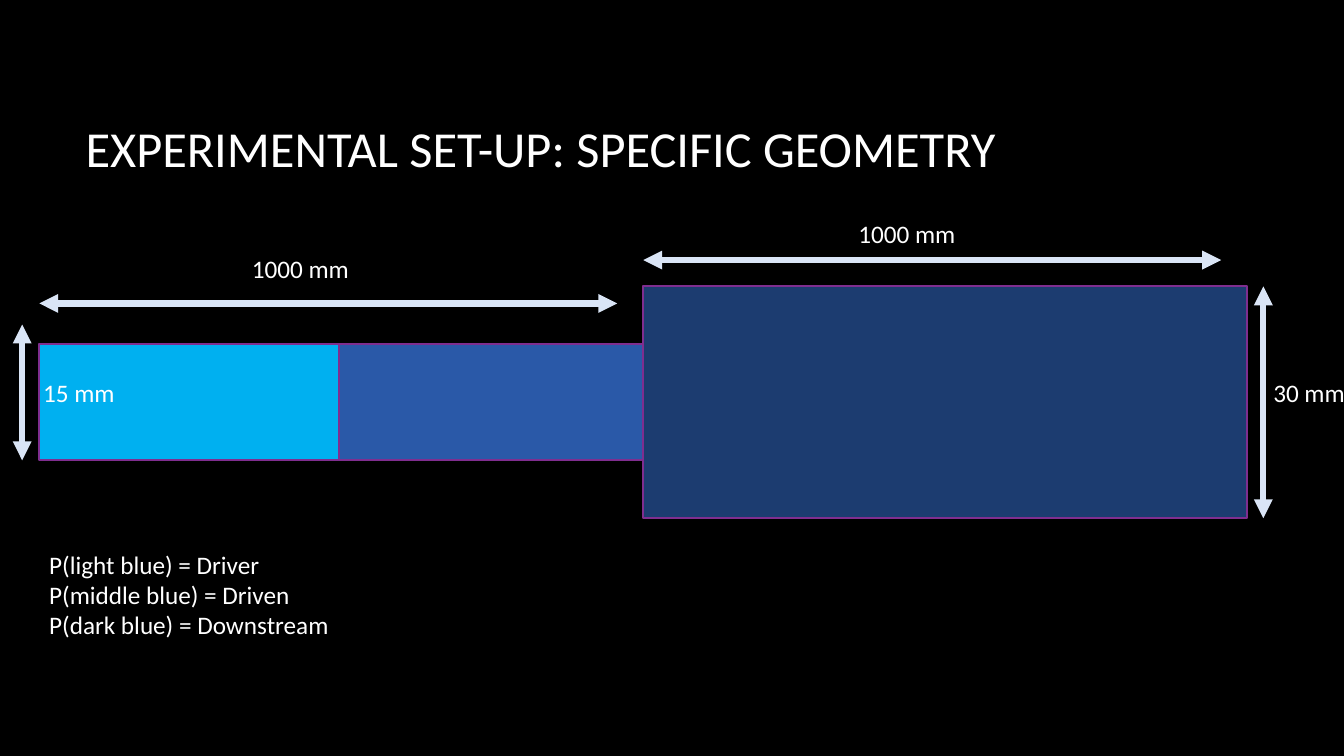
from lxml.etree import SubElement
from pptx import Presentation
from pptx.dml.color import RGBColor
from pptx.enum.shapes import MSO_CONNECTOR as Connector, MSO_SHAPE as Preset
from pptx.enum.text import MSO_ANCHOR as Anchor, MSO_AUTO_SIZE as AutoSize
from pptx.oxml.ns import qn
from pptx.util import Inches, Pt

COLUMNS, ROWS = 80, 45


def color(hex_string):
    """Turn a hex string into a colour."""
    return RGBColor.from_string(hex_string)


class GeometrySlide:
    """Style and current slide; lengths are grid columns and rows."""

    font = "Calibri"
    text_color = "FFFFFF"
    outline = "7F2E8F"
    arrow_color = "DAE5F6"

    def __init__(self, presentation, background):
        """Add a blank slide with a plain background."""
        self.column = presentation.slide_width / COLUMNS
        self.row = presentation.slide_height / ROWS
        self.slide = presentation.slides.add_slide(presentation.slide_layouts[6])
        fill = self.slide.background.fill
        fill.solid()
        fill.fore_color.rgb = color(background)

    def place(self, *lengths):
        """Convert alternating columns and rows to slide units."""
        units = (self.column, self.row) * 2
        return [round(length * unit) for length, unit in zip(lengths, units)]

    def text(self, lines, left, top, width, height, size=18, grow=True):
        """Add a left-aligned text box, one paragraph a line."""
        box = self.slide.shapes.add_textbox(*self.place(left, top, width, height))
        frame = box.text_frame
        frame.word_wrap = True
        frame.auto_size = AutoSize.SHAPE_TO_FIT_TEXT if grow else AutoSize.NONE
        frame.vertical_anchor = Anchor.TOP if grow else Anchor.MIDDLE
        frame.text = "\n".join(lines)
        for paragraph in frame.paragraphs:
            paragraph.font.name = self.font
            paragraph.font.size = Pt(size)
            paragraph.font.color.rgb = color(self.text_color)

    def section(self, left, width, height, axis, fill):
        """Add a tube section centred on the axis."""
        shape = self.slide.shapes.add_shape(
            Preset.RECTANGLE, *self.place(left, axis - height / 2, width, height))
        shape.shadow.inherit = False
        shape.fill.solid()
        shape.fill.fore_color.rgb = color(fill)
        shape.line.color.rgb = color(self.outline)
        shape.line.width = Pt(1.5)

    def dimension(self, *ends):
        """Add a double-headed arrow between two points."""
        arrow = self.slide.shapes.add_connector(Connector.STRAIGHT, *self.place(*ends))
        arrow.line.color.rgb = color(self.arrow_color)
        arrow.line.width = Pt(4.5)
        line = arrow.line._get_or_add_ln()
        for end in ("a:headEnd", "a:tailEnd"):
            SubElement(line, qn(end), type="triangle")
        SubElement(arrow._element.spPr, qn("a:effectLst"))


presentation = Presentation()
presentation.slide_width, presentation.slide_height = Inches(13.33), Inches(7.5)
page = GeometrySlide(presentation, "000000")

page.text(["EXPERIMENTAL SET-UP: SPECIFIC GEOMETRY"], 4.5, 4, 66.5, 9.54,
          size=36, grow=False)

# Both tubes share one axis and length; the second has twice the bore.
AXIS, BORE, LENGTH, TUBE_LEFT = 23.95, 6.9, 35.95, 2.34
JUNCTION = TUBE_LEFT + LENGTH
DRIVEN_WIDTH = 18.12
SPAN = 34.4
LEFT_ARROW, RIGHT_ARROW = 1.32, 75.2

page.section(TUBE_LEFT, LENGTH, BORE, AXIS, "00B0F0")
page.section(JUNCTION, LENGTH, 2 * BORE, AXIS, "1C3C70")
page.section(JUNCTION - DRIVEN_WIDTH, DRIVEN_WIDTH, BORE, AXIS, "2A59A8")

for left, row, label_left, label_top in (
        (TUBE_LEFT, 18.06, 14.4, 14.76), (JUNCTION, 15.48, 50.5, 12.72)):
    page.dimension(left, row, left + SPAN, row)
    page.text(["1000 mm"], label_left, label_top, 9.96, 2.4)

for column, bottom, top, label, label_left, label_width in (
        (LEFT_ARROW, AXIS + BORE / 2, 19.32, "15 mm", 1.98, 7.68),
        (RIGHT_ARROW, AXIS + BORE, AXIS - BORE, "30 mm", RIGHT_ARROW, 6.18)):
    page.dimension(column, bottom, column, top)
    page.text([label], label_left, 22.14, label_width, 2.4)

page.text(["P(light blue) = Driver", "P(middle blue) = Driven",
           "P(dark blue) = Downstream"], TUBE_LEFT, 32.4, 30.06, 6.06)

presentation.save("out.pptx")
